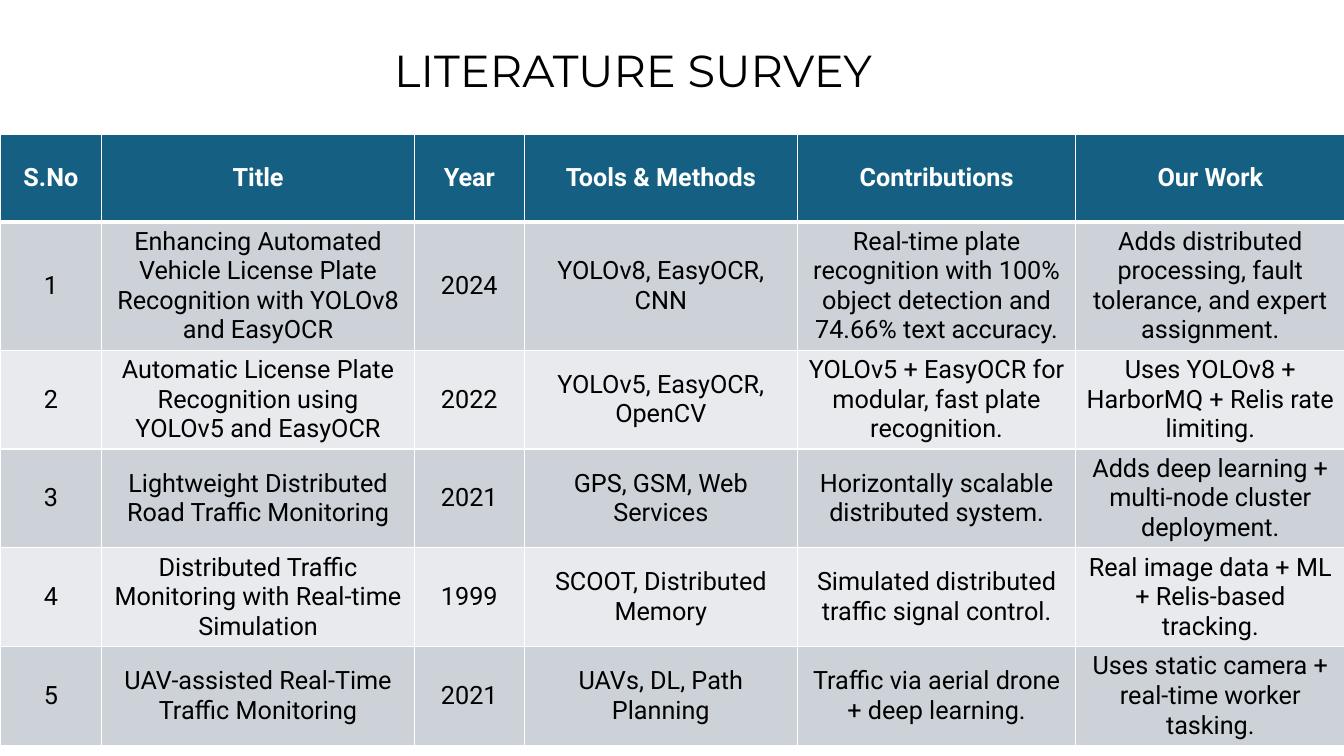
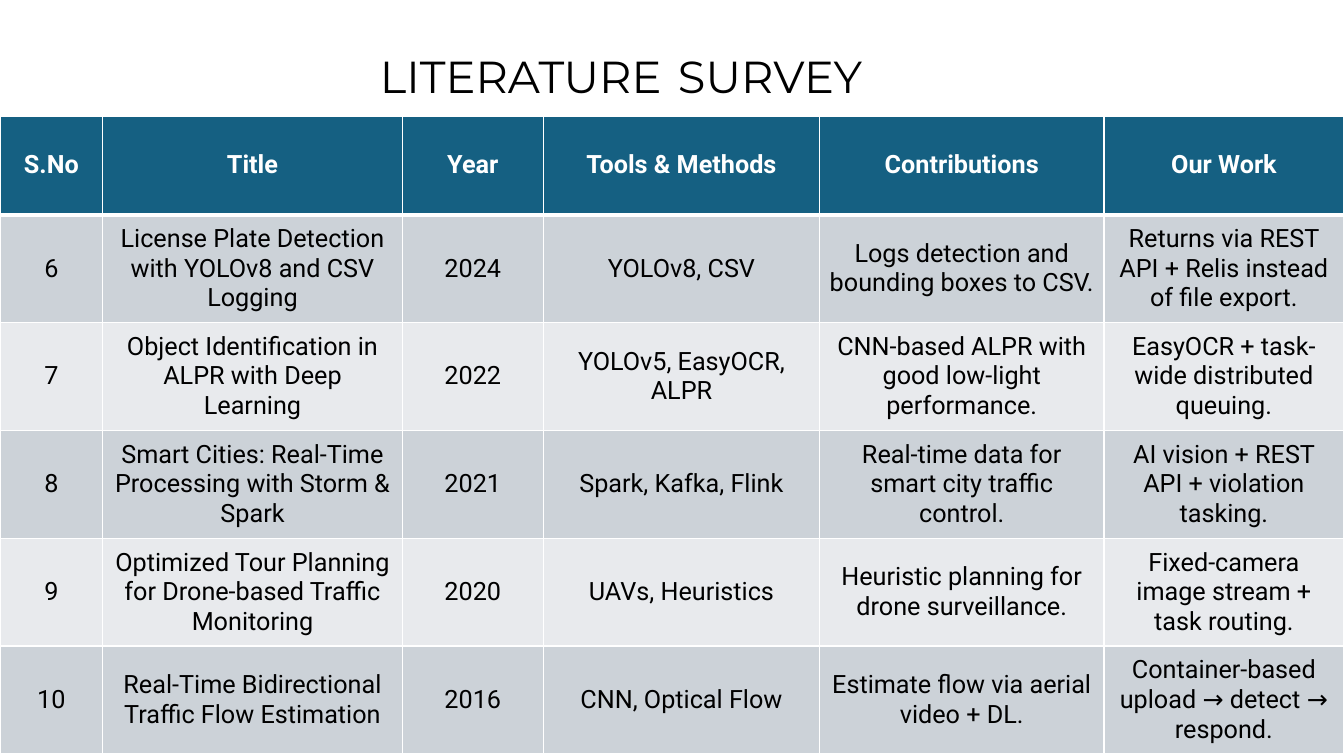
"""Build two literature survey slides, each with a title and a comparison table."""
from lxml import etree
from pptx import Presentation
from pptx.dml.color import RGBColor
from pptx.enum.text import MSO_ANCHOR, MSO_AUTO_SIZE, PP_ALIGN
from pptx.oxml.ns import qn
from pptx.util import Inches, Pt

CENTER = PP_ALIGN.CENTER
MIDDLE = MSO_ANCHOR.MIDDLE
NO_FIT = MSO_AUTO_SIZE.NONE
TITLE_ONLY = 5

BLACK = RGBColor(0x00, 0x00, 0x00)
WHITE = RGBColor(0xFF, 0xFF, 0xFF)
TEAL = RGBColor(0x15, 0x60, 0x82)
BANDS = [RGBColor(0xCC, 0xD2, 0xD8), RGBColor(0xE8, 0xEA, 0xED)]

TITLE_FONT = {"name": "Montserrat", "bold": False}
HEADER_FONT = {"name": "Roboto", "size": Pt(18), "bold": True}
BODY_FONT = {"name": "Roboto", "size": Pt(18), "bold": False}
HEADER_BORDERS = {"a:lnL": 1, "a:lnR": 1, "a:lnT": 1, "a:lnB": 3}

HEADINGS = ["S.No", "Title", "Year", "Tools & Methods", "Contributions", "Our Work"]

SURVEYS = [
    {
        "title": [("LITERATURE SURVEY", 32)],
        "title_left": 0.53,
        "table_top": 1.33,
        "columns": [1.01, 3.1, 1.09, 2.71, 2.76, 2.67],
        "rows": [0.87, 1.23] + [0.95] * 4,
        "papers": [
            ["1", "Enhancing Automated Vehicle License Plate Recognition with YOLOv8 and EasyOCR",
             "2024", "YOLOv8, EasyOCR, CNN",
             "Real-time plate recognition with 100% object detection and 74.66% text accuracy.",
             "Adds distributed processing, fault tolerance, and expert assignment."],
            ["2", "Automatic License Plate Recognition using YOLOv5 and EasyOCR",
             "2022", "YOLOv5, EasyOCR, OpenCV",
             "YOLOv5 + EasyOCR for modular, fast plate recognition.",
             "Uses YOLOv8 + HarborMQ + Relis rate limiting."],
            ["3", "Lightweight Distributed Road Traffic Monitoring",
             "2021", "GPS, GSM, Web Services",
             "Horizontally scalable distributed system.",
             "Adds deep learning + multi-node cluster deployment."],
            ["4", "Distributed Traffic Monitoring with Real-time Simulation",
             "1999", "SCOOT, Distributed Memory",
             "Simulated distributed traffic signal control.",
             "Real image data + ML + Relis-based tracking."],
            ["5", "UAV-assisted Real-Time Traffic Monitoring",
             "2021", "UAVs, DL, Path Planning",
             "Traffic via aerial drone + deep learning.",
             "Uses static camera + real-time worker tasking."],
        ],
    },
    {
        "title": [("LITERATURE", 32), (" ", 44), ("SURVEY", 32)],
        "title_left": 0.41,
        "table_top": 1.15,
        "columns": [1.02, 2.97, 1.4, 2.74, 2.82, 2.38],
        "rows": [0.98] + [1.07] * 5,
        "papers": [
            ["6", "License Plate Detection with YOLOv8 and CSV Logging",
             "2024", "YOLOv8, CSV",
             "Logs detection and bounding boxes to CSV.",
             "Returns via REST API + Relis instead of file export."],
            ["7", "Object Identification in ALPR with Deep Learning",
             "2022", "YOLOv5, EasyOCR, ALPR",
             "CNN-based ALPR with good low-light performance.",
             "EasyOCR + task-wide distributed queuing."],
            ["8", "Smart Cities: Real-Time Processing with Storm & Spark",
             "2021", "Spark, Kafka, Flink",
             "Real-time data for smart city traffic control.",
             "AI vision + REST API + violation tasking."],
            ["9", "Optimized Tour Planning for Drone-based Traffic Monitoring",
             "2020", "UAVs, Heuristics",
             "Heuristic planning for drone surveillance.",
             "Fixed-camera image stream + task routing."],
            ["10", "Real-Time Bidirectional Traffic Flow Estimation",
             "2016", "CNN, Optical Flow",
             "Estimate flow via aerial video + DL.",
             "Container-based upload → detect → respond."],
        ],
    },
]


def add_text(paragraph, text, font_values, color):
    """Append a centred run with the given font values and colour."""
    paragraph.alignment = CENTER
    run = paragraph.add_run()
    run.text = text
    for attribute, value in font_values.items():
        setattr(run.font, attribute, value)
    run.font.color.rgb = color


def add_borders(cell, borders):
    """Draw white borders, given as widths in points by side, before the fill."""
    properties = cell._tc.get_or_add_tcPr()
    for position, (side, width) in enumerate(borders.items()):
        border = etree.Element(qn(side), w=str(Pt(width)))
        stroke = etree.SubElement(border, qn("a:solidFill"))
        etree.SubElement(stroke, qn("a:srgbClr"), val=str(WHITE))
        properties.insert(position, border)


deck = Presentation()
deck.slide_width = Inches(13.33)
deck.slide_height = Inches(7.5)

for survey in SURVEYS:
    slide = deck.slides.add_slide(deck.slide_layouts[TITLE_ONLY])

    heading = slide.shapes.title
    heading.left, heading.top = Inches(survey["title_left"]), 0
    heading.width, heading.height = Inches(11.5), Inches(1.45)
    heading.text_frame.auto_size = NO_FIT
    heading.text_frame.vertical_anchor = MIDDLE
    heading_line = heading.text_frame.paragraphs[0]
    heading_line.line_spacing = 0.9
    for text, size in survey["title"]:
        add_text(heading_line, text, {**TITLE_FONT, "size": Pt(size)}, BLACK)

    entries = [HEADINGS] + survey["papers"]
    top = Inches(survey["table_top"])
    papers = slide.shapes.add_table(
        len(entries), len(HEADINGS), 0, top, deck.slide_width, deck.slide_height - top
    ).table
    for column, width in zip(papers.columns, survey["columns"]):
        column.width = Inches(width)
    for row, height in zip(papers.rows, survey["rows"]):
        row.height = Inches(height)

    for row_index, entry in enumerate(entries):
        if row_index == 0:
            fill, font_values, color, borders = TEAL, HEADER_FONT, WHITE, HEADER_BORDERS
        else:
            fill, font_values, color, borders = BANDS[(row_index - 1) % 2], BODY_FONT, BLACK, {}
        for column_index, text in enumerate(entry):
            cell = papers.cell(row_index, column_index)
            cell.fill.solid()
            cell.fill.fore_color.rgb = fill
            cell.vertical_anchor = MIDDLE
            add_borders(cell, borders)
            add_text(cell.text_frame.paragraphs[0], text, font_values, color)

deck.save("out.pptx")
